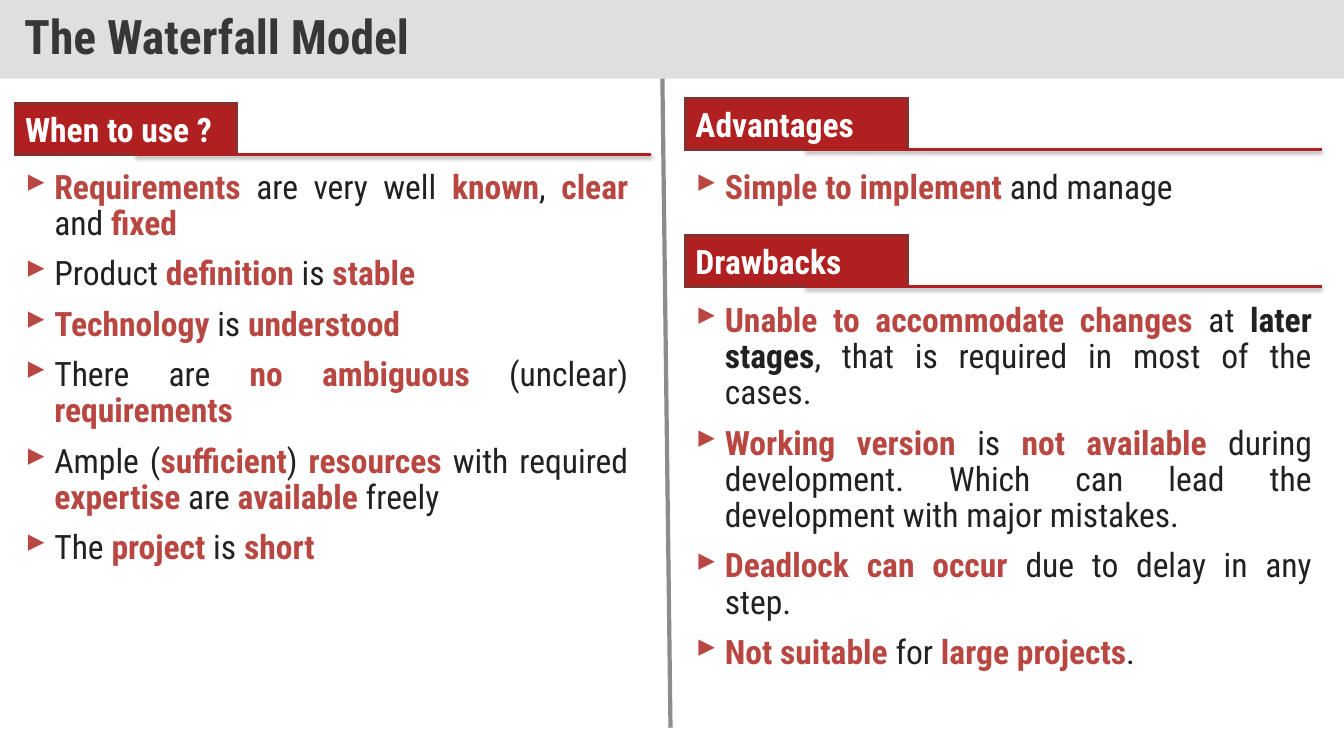
from lxml.etree import SubElement
from pptx import Presentation
from pptx.dml.color import RGBColor
from pptx.enum.shapes import MSO_CONNECTOR, MSO_SHAPE
from pptx.enum.text import MSO_ANCHOR, PP_ALIGN
from pptx.oxml import parse_xml
from pptx.oxml.ns import nsdecls, qn
from pptx.util import Inches, Pt

SLIDE_WIDTH, SLIDE_HEIGHT = 13.33, 7.5
BANNER_HEIGHT = 0.78
FONT = "Roboto Condensed"
# In this symbol font the closing brace is a small right-pointing triangle.
BULLET_FONT, BULLET = "Wingdings 3", "}"
COLOURS = {
    "banner": "C0C0C0", "title": "373737", "header": "B02020",
    "header_line": "863330", "white": "FFFFFF", "accent": "B84742",
    "plain": "212121", "strong": "212121", "divider": "8C8C8C",
}

WHEN_TO_USE = [
    [("accent", "Requirements"), ("plain", " are very well "), ("accent", "known"),
     ("plain", ", "), ("accent", "clear"), ("plain", " and "), ("accent", "fixed")],
    [("plain", "Product "), ("accent", "definition"), ("plain", " is "),
     ("accent", "stable")],
    [("accent", "Technology"), ("plain", " is "), ("accent", "understood")],
    [("plain", "There are "), ("accent", "no ambiguous"), ("plain", " (unclear) "),
     ("accent", "requirements")],
    [("plain", "Ample ("), ("accent", "sufficient"), ("plain", ") "),
     ("accent", "resources"), ("plain", " with required "), ("accent", "expertise"),
     ("plain", " are "), ("accent", "available"), ("plain", " freely")],
    [("plain", "The "), ("accent", "project"), ("plain", " is "), ("accent", "short")],
]
ADVANTAGES = [[("accent", "Simple to implement"), ("plain", " and manage")]]
DRAWBACKS = [
    [("accent", "Unable to accommodate changes "), ("plain", "at "),
     ("strong", "later stages"), ("plain", ", that is required in most of the cases.")],
    [("accent", "Working version "), ("plain", "is "), ("accent", "not available"),
     ("plain", " during development. Which can lead the development with major mistakes.")],
    [("accent", "Deadlock can occur "), ("plain", "due to delay in any step.")],
    [("accent", "Not suitable"), ("plain", " for "), ("accent", "large projects"),
     ("plain", ".")],
]


def colour(name):
    return RGBColor.from_string(COLOURS[name])


def add_run(paragraph, text, colour_name, size=24, bold=True):
    run = paragraph.add_run()
    run.text = text
    run.font.name, run.font.size, run.font.bold = FONT, Pt(size), bold
    run.font.color.rgb = colour(colour_name)


def add_rectangle(slide, box, fill_name):
    shape = slide.shapes.add_shape(MSO_SHAPE.RECTANGLE, *map(Inches, box))
    shape.shadow.inherit = False
    shape.fill.solid()
    shape.fill.fore_color.rgb = colour(fill_name)
    shape.text_frame.word_wrap = True
    shape.text_frame.vertical_anchor = MSO_ANCHOR.MIDDLE
    shape.text_frame.paragraphs[0].alignment = PP_ALIGN.LEFT
    return shape


def add_line(slide, start, end, colour_name, width, shadow=False):
    line = slide.shapes.add_connector(
        MSO_CONNECTOR.STRAIGHT, *map(Inches, start + end))
    line.line.color.rgb = colour(colour_name)
    line.line.width = Pt(width)
    effects = SubElement(line._element.spPr, qn("a:effectLst"))
    if shadow:
        effects.append(parse_xml(
            f'<a:outerShdw {nsdecls("a")} blurRad="{Pt(3.1)}" dist="{Pt(1.6)}" '
            'dir="5400000" rotWithShape="0"><a:srgbClr val="000000">'
            '<a:alpha val="38000"/></a:srgbClr></a:outerShdw>'))


def add_banner(slide, title):
    banner = add_rectangle(slide, (0, 0, SLIDE_WIDTH, BANNER_HEIGHT), "banner")
    banner.line.fill.background()
    fill_colour = banner._element.spPr.find(qn("a:solidFill"))[0]
    SubElement(fill_colour, qn("a:alpha"), val="50000")
    frame = banner.text_frame
    frame.margin_left = frame.margin_right = Inches(0.24)
    frame.margin_top = frame.margin_bottom = Inches(0.12)
    frame.paragraphs[0].line_spacing = 0.9
    add_run(frame.paragraphs[0], title, "title", size=34)


def add_header(slide, title, left, top):
    """Draw a red label with a shadowed rule running right from its foot."""
    width, height = 2.2, 0.5
    rule_left, rule_length = left + 1.19, 5.12
    label = add_rectangle(slide, (left, top, width, height), "header")
    label.line.color.rgb = colour("header_line")
    label.line.width = Pt(2)
    SubElement(label.line._ln, qn("a:miter"), lim="800000")
    add_run(label.text_frame.paragraphs[0], title, "white")
    add_line(slide, (rule_left, top + height), (rule_left + rule_length, top + height),
             "header", 2, shadow=True)


def add_bullet(paragraph):
    properties = paragraph._p.get_or_add_pPr()
    properties.set("marL", str(Inches(0.29)))
    properties.set("indent", str(-Inches(0.29)))
    bullet_colour = SubElement(properties, qn("a:buClr"))
    SubElement(bullet_colour, qn("a:srgbClr"), val=COLOURS["accent"])
    SubElement(properties, qn("a:buFont"), typeface=BULLET_FONT, charset="2")
    SubElement(properties, qn("a:buChar"), char=BULLET)


def add_bullets(slide, box, items):
    frame = slide.shapes.add_textbox(*map(Inches, box)).text_frame
    frame.word_wrap = True
    for index, runs in enumerate(items):
        paragraph = frame.add_paragraph() if index else frame.paragraphs[0]
        add_bullet(paragraph)
        paragraph.alignment = PP_ALIGN.JUSTIFY
        paragraph.line_spacing = 0.9
        if index:
            paragraph.space_before = Pt(10)
        for style, text in runs:
            add_run(paragraph, text, style, bold=style != "plain")


def add_section(slide, title, items, header_top, body_box):
    add_header(slide, title, body_box[0], header_top)
    add_bullets(slide, body_box, items)


def main():
    presentation = Presentation()
    presentation.slide_width = Inches(SLIDE_WIDTH)
    presentation.slide_height = Inches(SLIDE_HEIGHT)
    slide = presentation.slides.add_slide(presentation.slide_layouts[6])
    left_column, right_column = 0.15, 6.8
    left_width, right_width = 6.18, 6.31
    add_banner(slide, "The Waterfall Model")
    add_section(slide, "When to use ?", WHEN_TO_USE, 1.03,
                (left_column, 1.64, left_width, 4.28))
    add_section(slide, "Advantages", ADVANTAGES, 0.98,
                (right_column, 1.64, right_width, 0.5))
    add_section(slide, "Drawbacks", DRAWBACKS, 2.34,
                (right_column, 2.96, right_width, 4.17))
    add_line(slide, (6.57, BANNER_HEIGHT), (6.65, 7.22), "divider", 3)
    presentation.save("out.pptx")


if __name__ == "__main__":
    main()
